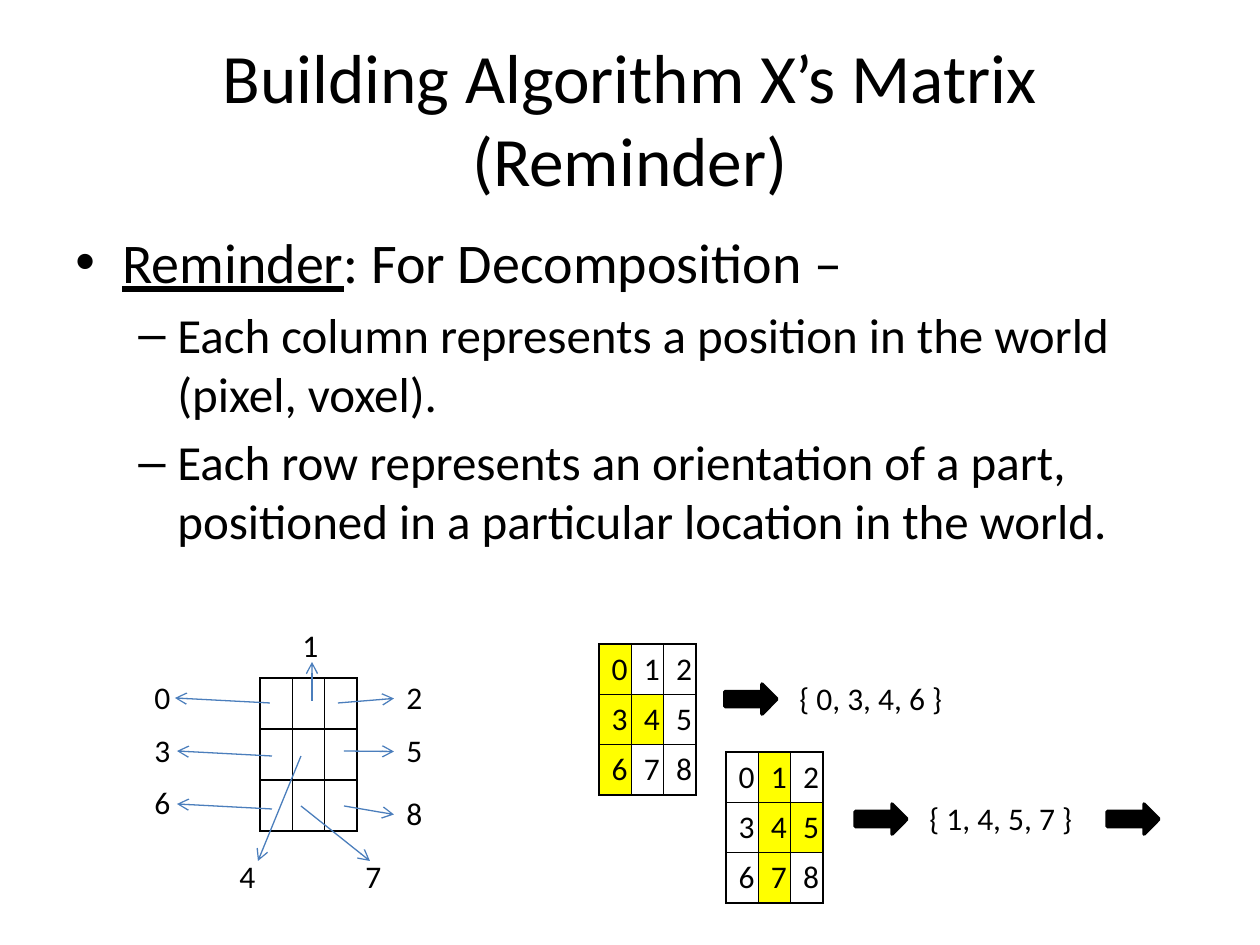
from lxml.etree import SubElement
from pptx import Presentation
from pptx.dml.color import RGBColor
from pptx.enum.shapes import MSO_CONNECTOR, MSO_SHAPE
from pptx.enum.text import MSO_ANCHOR, PP_ALIGN
from pptx.oxml.ns import qn
from pptx.util import Emu, Pt

EMU_PER_PX = 914400 / 126


def px(length):
    return Emu(round(length * EMU_PER_PX))


def color(hex_string):
    return RGBColor.from_string(hex_string)


def add_bullet(paragraph, character, margin, hanging):
    properties = paragraph._p.get_or_add_pPr()
    properties.set("marL", str(px(margin)))
    properties.set("indent", str(-px(hanging)))
    SubElement(properties, qn("a:buFont"), typeface="Arial")
    SubElement(properties, qn("a:buChar"), char=character)


def set_cell_borders(cell, hex_string, width):
    properties = cell._tc.get_or_add_tcPr()
    for position, side in enumerate(("lnL", "lnR", "lnT", "lnB")):
        line = properties.makeelement(qn(f"a:{side}"), {"w": str(Pt(width))})
        fill = SubElement(line, qn("a:solidFill"))
        SubElement(fill, qn("a:srgbClr"), val=hex_string)
        properties.insert(position, line)


class SlideBuilder:
    """Holds the style and the slide being drawn."""

    font = "Calibri"
    ink = "000000"
    highlight = "FFFF00"
    pointer = "4B7EBC"

    def __init__(self, slide):
        self.slide = slide

    def add_text(self, paragraph, text, size=18, underline=False):
        run = paragraph.add_run()
        run.text = text
        run.font.name = self.font
        run.font.size = Pt(size)
        run.font.bold = False
        run.font.underline = underline
        run.font.color.rgb = color(self.ink)

    def frame(self, left, top, width, height):
        box = self.slide.shapes.add_textbox(px(left), px(top), px(width), px(height))
        box.text_frame.word_wrap = True
        return box

    def label(self, text, left, top, width=136, height=53):
        box = self.frame(left, top, width, height)
        self.add_text(box.text_frame.paragraphs[0], text)
        return box

    def title(self, text, left, top, width, height):
        text_frame = self.frame(left, top, width, height).text_frame
        text_frame.vertical_anchor = MSO_ANCHOR.MIDDLE
        paragraph = text_frame.paragraphs[0]
        paragraph.alignment = PP_ALIGN.CENTER
        self.add_text(paragraph, text, size=39.6)

    def body(self, heading, rest, points, left, top, width, height):
        text_frame = self.frame(left, top, width, height).text_frame
        paragraph = text_frame.paragraphs[0]
        add_bullet(paragraph, "•", 47, 47)
        self.add_text(paragraph, heading, size=32, underline=True)
        self.add_text(paragraph, rest, size=32)
        for point in points:
            paragraph = text_frame.add_paragraph()
            paragraph.level = 1
            add_bullet(paragraph, "–", 102, 39)
            paragraph.space_before = Pt(5.6)
            self.add_text(paragraph, point, size=28)

    def arrow(self, start, end, target=None):
        """Draw a thin arrow, joined to the target's left side if there is one."""
        connector = self.slide.shapes.add_connector(
            MSO_CONNECTOR.STRAIGHT, *map(px, start + end))
        if target is not None:
            connector.end_connect(target, 1)
        connector.line.color.rgb = color(self.pointer)
        connector.line.width = Pt(0.75)
        SubElement(connector.line._get_or_add_ln(), qn("a:tailEnd"), type="arrow")
        SubElement(connector._element.spPr, qn("a:effectLst"))

    def block_arrow(self, left, top):
        shape = self.slide.shapes.add_shape(
            MSO_SHAPE.UP_ARROW, px(left), px(top), px(30), px(52))
        shape.rotation = 90
        shape.shadow.inherit = False
        shape.fill.solid()
        shape.fill.fore_color.rgb = color(self.ink)
        shape.line.color.rgb = color(self.ink)
        shape.line.width = Pt(2)

    def grid(self, left, top, height=151, numbered=True, marked=()):
        """Draw a 3 by 3 table of positions 0 to 8 with the marked ones filled."""
        width = 97
        table = self.slide.shapes.add_table(
            3, 3, px(left), px(top), px(width), px(height)).table
        table.first_row = False
        table.horz_banding = False
        for position in range(9):
            cell = table.cell(*divmod(position, 3))
            cell.margin_right = cell.margin_bottom = 0
            if position in marked:
                cell.fill.solid()
                cell.fill.fore_color.rgb = color(self.highlight)
            else:
                cell.fill.background()
            set_cell_borders(cell, self.ink, 1)
            if numbered:
                self.add_text(cell.text_frame.paragraphs[0], str(position))


def main():
    presentation = Presentation()
    presentation.slide_width = px(1260)
    presentation.slide_height = px(945)
    builder = SlideBuilder(presentation.slides.add_slide(presentation.slide_layouts[6]))

    builder.title("Building Algorithm X’s Matrix (Reminder)", 63, 38, 1134, 158)
    builder.body(
        "Reminder", ": For Decomposition –",
        ["Each column represents a position in the world (pixel, voxel).",
         "Each row represents an orientation of a part, "
         "positioned in a particular location in the world."],
        63, 221, 1134, 624)

    builder.grid(260, 678, height=153, numbered=False)
    # Number, label corner, arrow start, arrow end
    free_labels = [
        ("0", (142, 672), (270, 703), (175, 698)),
        ("3", (142, 725), (272, 756), (177, 751)),
        ("6", (142, 777), (272, 809), (177, 804)),
        ("1", (290, 620), (312, 701), (312, 662)),
        ("4", (227, 851), (301, 756), (258, 861)),
        ("7", (353, 851), (301, 806), (370, 861)),
    ]
    for number, corner, start, end in free_labels:
        builder.label(number, *corner)
        builder.arrow(start, end)

    right_labels = [("2", 672, (338, 703)), ("5", 725, (344, 751)), ("8", 788, (344, 806))]
    for number, top, start in right_labels:
        label = builder.label(number, 394, top)
        builder.arrow(start, (394, top + 26), target=label)

    builder.grid(599, 644, marked=(0, 3, 4, 6))
    builder.block_arrow(736, 673)
    builder.label("{ 0, 3, 4, 6 }", 787, 673, 210, 50)

    builder.grid(726, 752, marked=(1, 4, 5, 7))
    builder.block_arrow(866, 793)
    builder.label("{ 1, 4, 5, 7 }", 917, 793, 210, 50)
    builder.block_arrow(1118, 793)

    presentation.save("out.pptx")


if __name__ == "__main__":
    main()
